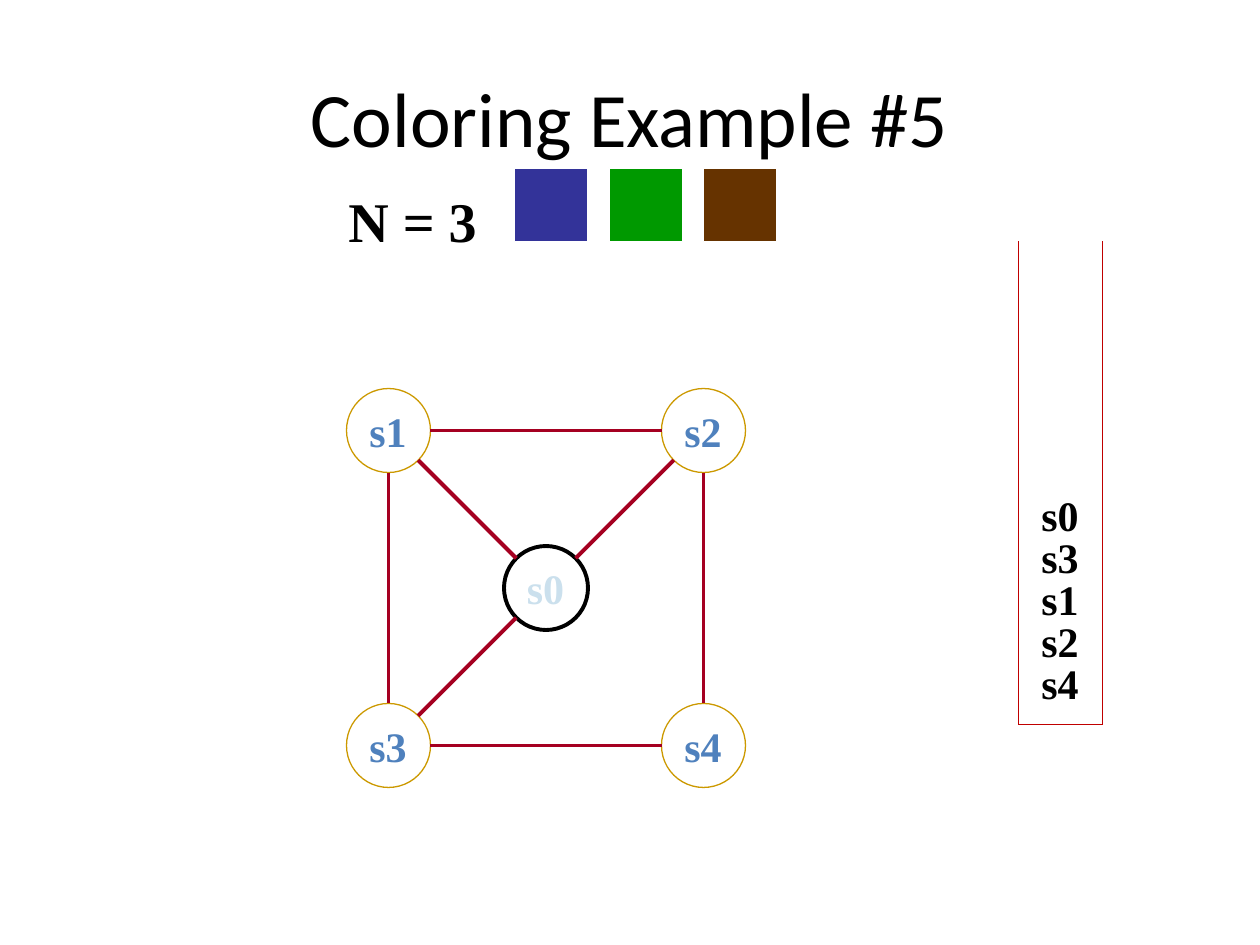
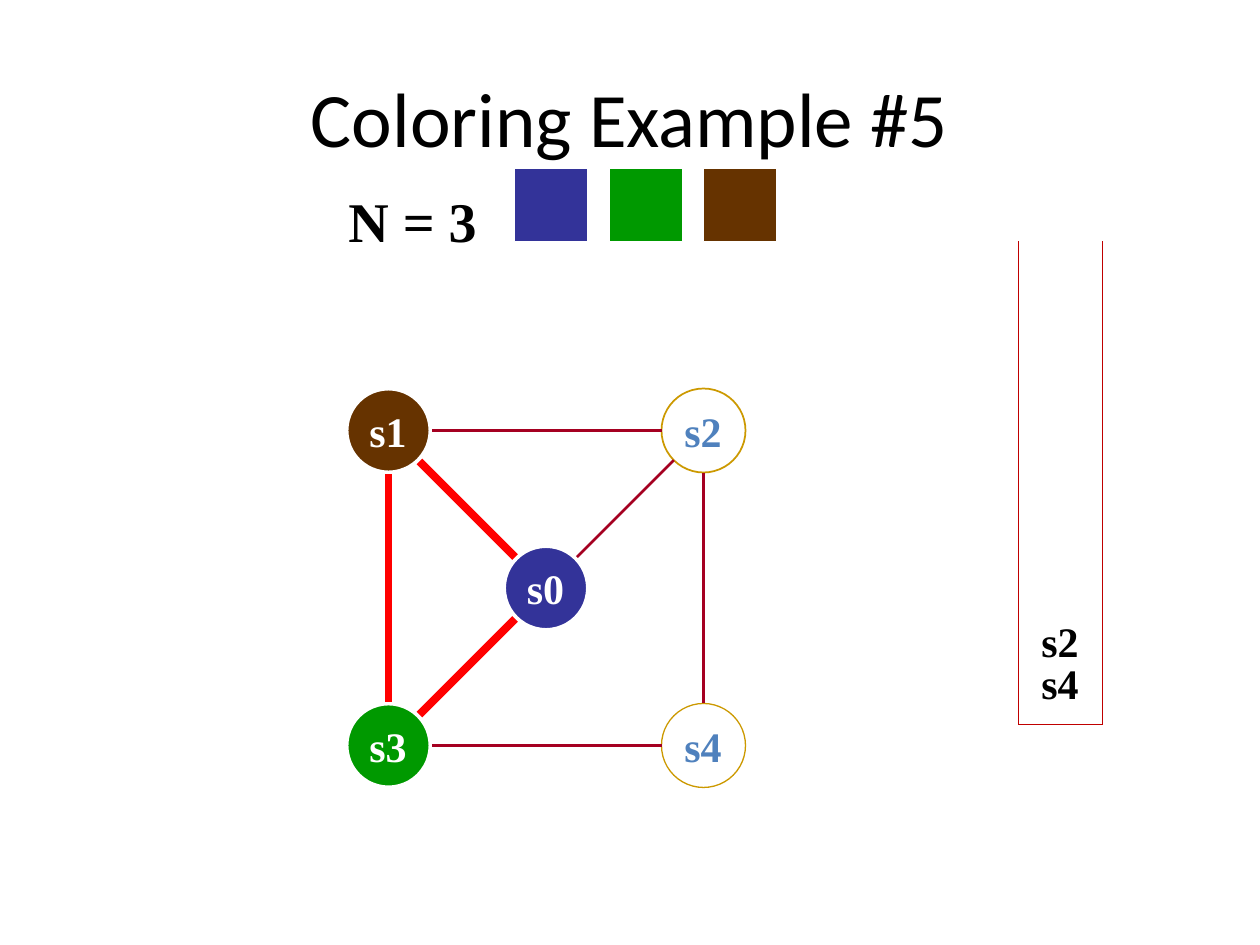
import math
from pptx import Presentation
from pptx.dml.color import RGBColor
from pptx.enum import shapes, text
from pptx.oxml.ns import qn
from pptx.util import Pt
from lxml import etree

# Content
TITLE = "Coloring Example #5"
COUNT = "N = 3"
COLORS = {
    "black": "000000", "white": "FFFFFF", "blue": "333399", "green": "009900",
    "brown": "663300", "gold": "CC9900", "label": "4F81BD", "faded": "CBE0ED",
    "edge": "A50021", "conflict": "FF0000", "stack": "C00000",
}
SWATCHES = ["blue", "green", "brown"]

# Node styles: fill, outline, outline width, label colour
OPEN = (None, "gold", 0.75, "label")
REMOVED = (None, "black", 2.25, "faded")


def colored(fill):
    return (fill, "white", 2.25, "white")


# Edge styles: colour, width
PLAIN = ("edge", 2.25)
THIN = ("edge", 1.5)
CONFLICT = ("conflict", 4.5)

SLIDES = [
    {
        "nodes": {"s1": OPEN, "s2": OPEN, "s3": OPEN, "s4": OPEN, "s0": REMOVED},
        "edges": {("s1", "s2"): PLAIN, ("s0", "s2"): PLAIN, ("s1", "s0"): PLAIN,
                  ("s1", "s3"): PLAIN, ("s3", "s4"): PLAIN, ("s2", "s4"): PLAIN,
                  ("s3", "s0"): PLAIN},
        "stack": ["s4", "s2", "s1", "s3", "s0"],
    },
    {
        "nodes": {"s1": colored("brown"), "s2": (None, "gold", 1, "label"),
                  "s3": colored("green"), "s4": OPEN, "s0": colored("blue")},
        "edges": {("s1", "s2"): THIN, ("s0", "s2"): THIN, ("s1", "s0"): CONFLICT,
                  ("s1", "s3"): CONFLICT, ("s3", "s4"): PLAIN, ("s2", "s4"): PLAIN,
                  ("s3", "s0"): CONFLICT},
        "stack": ["s4", "s2"],
    },
]

# Geometry in points
HALF = 90
CENTER = (312, 336)
GRID = {"s0": (0, 0), "s1": (-1, -1), "s2": (1, -1), "s3": (-1, 1), "s4": (1, 1)}
POS = {n: (CENTER[0] + HALF * dx, CENTER[1] + HALF * dy) for n, (dx, dy) in GRID.items()}
RADIUS = 24
LABEL_W, LABEL_H = 36, 36
STACK_L, STACK_R, STACK_T, STACK_B = 582, 630, 138, 414
STACK_FIRST, STACK_STEP = 390, 24
SWATCH_X, SWATCH_Y, SWATCH, SWATCH_STEP = 294, 96, 42, 54

SERIF = {"name": "Times New Roman", "bold": True}
TITLE_FONT = {"name": "Calibri", "size": Pt(44)}
COUNT_FONT = {**SERIF, "size": Pt(32)}
LABEL_FONT = {**SERIF, "size": Pt(24)}


def rgb(name):
    return RGBColor.from_string(COLORS[name])


def add_text(s, content, box, font, color="black", wrap=False, align=text.PP_ALIGN.LEFT):
    tf = s.shapes.add_textbox(*map(Pt, box)).text_frame
    tf.word_wrap = wrap
    tf.auto_size = text.MSO_AUTO_SIZE.NONE if wrap else text.MSO_AUTO_SIZE.SHAPE_TO_FIT_TEXT
    tf.vertical_anchor = text.MSO_ANCHOR.MIDDLE
    p = tf.paragraphs[0]
    p.alignment = align
    r = p.add_run()
    r.text = content
    for key, value in font.items():
        setattr(r.font, key, value)
    r.font.color.rgb = rgb(color)


def add_label(s, name, x, y, color="black"):
    add_text(s, name, (x - LABEL_W / 2, y - LABEL_H / 2, LABEL_W, LABEL_H), LABEL_FONT, color)


def add_line(s, start, end, color, width):
    line = s.shapes.add_connector(shapes.MSO_CONNECTOR.STRAIGHT, *map(Pt, (*start, *end)))
    line.line.color.rgb = rgb(color)
    line.line.width = Pt(width)
    etree.SubElement(line._element.spPr, qn("a:effectLst"))


def add_figure(s, kind, box, fill, outline, width):
    sp = s.shapes.add_shape(kind, *map(Pt, box))
    sp.shadow.inherit = False
    if fill:
        sp.fill.solid()
        sp.fill.fore_color.rgb = rgb(fill)
    else:
        sp.fill.background()
    sp.line.color.rgb = rgb(outline)
    sp.line.width = Pt(width)


def add_header(s):
    add_text(s, TITLE, (36, 21.6, 648, 90), TITLE_FONT, wrap=True, align=text.PP_ALIGN.CENTER)
    add_text(s, COUNT, (192, 103, 88, 46), COUNT_FONT)
    for i, color in enumerate(SWATCHES):
        box = (SWATCH_X + i * SWATCH_STEP, SWATCH_Y, SWATCH, SWATCH)
        add_figure(s, shapes.MSO_SHAPE.RECTANGLE, box, color, "white", 0.75)


def add_stack(s, names):
    corners = [(STACK_L, STACK_T), (STACK_L, STACK_B), (STACK_R, STACK_B), (STACK_R, STACK_T)]
    for start, end in zip(corners, corners[1:]):
        add_line(s, start, end, "stack", 0.75)
    for i, name in enumerate(names):
        add_label(s, name, (STACK_L + STACK_R) / 2, STACK_FIRST - i * STACK_STEP)


def rim(node, other, nodes):
    """Point on the rim of node facing other; filled nodes keep a small gap."""
    (x, y), (ox, oy) = POS[node], POS[other]
    reach = (RADIUS + (1 if nodes[node][0] else 0)) / math.hypot(ox - x, oy - y)
    return x + (ox - x) * reach, y + (oy - y) * reach


def add_graph(s, nodes, edges):
    for name, (fill, outline, width, color) in nodes.items():
        x, y = POS[name]
        box = (x - RADIUS, y - RADIUS, 2 * RADIUS, 2 * RADIUS)
        add_figure(s, shapes.MSO_SHAPE.OVAL, box, fill, outline, width)
        add_label(s, name, x, y, color)
    for (a, b), style in edges.items():
        add_line(s, rim(a, b, nodes), rim(b, a, nodes), *style)


def main():
    prs = Presentation()
    prs.slide_width, prs.slide_height = Pt(720), Pt(540)
    for state in SLIDES:
        s = prs.slides.add_slide(prs.slide_layouts[6])
        add_header(s)
        add_stack(s, state["stack"])
        add_graph(s, state["nodes"], state["edges"])
    prs.save("out.pptx")


if __name__ == "__main__":
    main()
